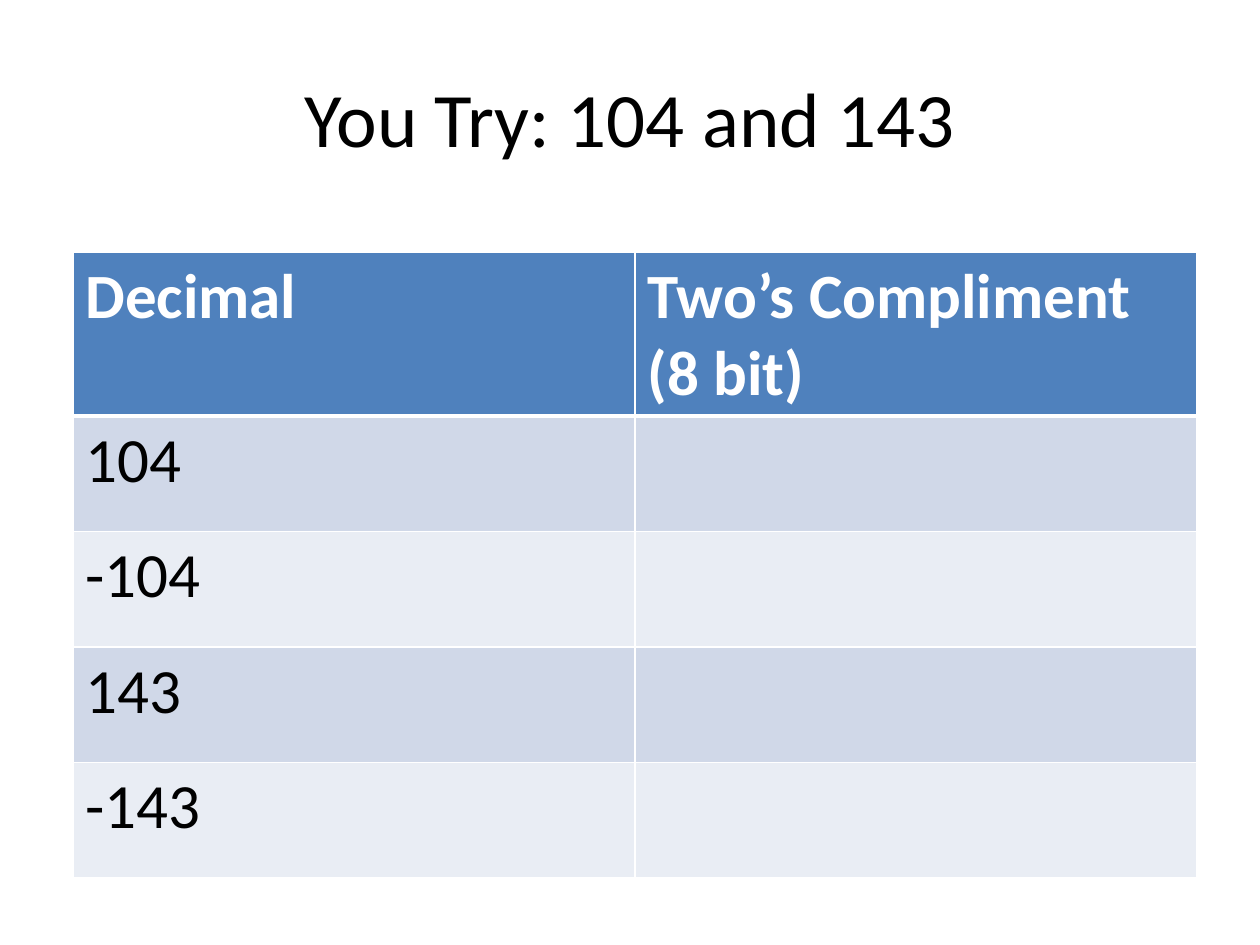
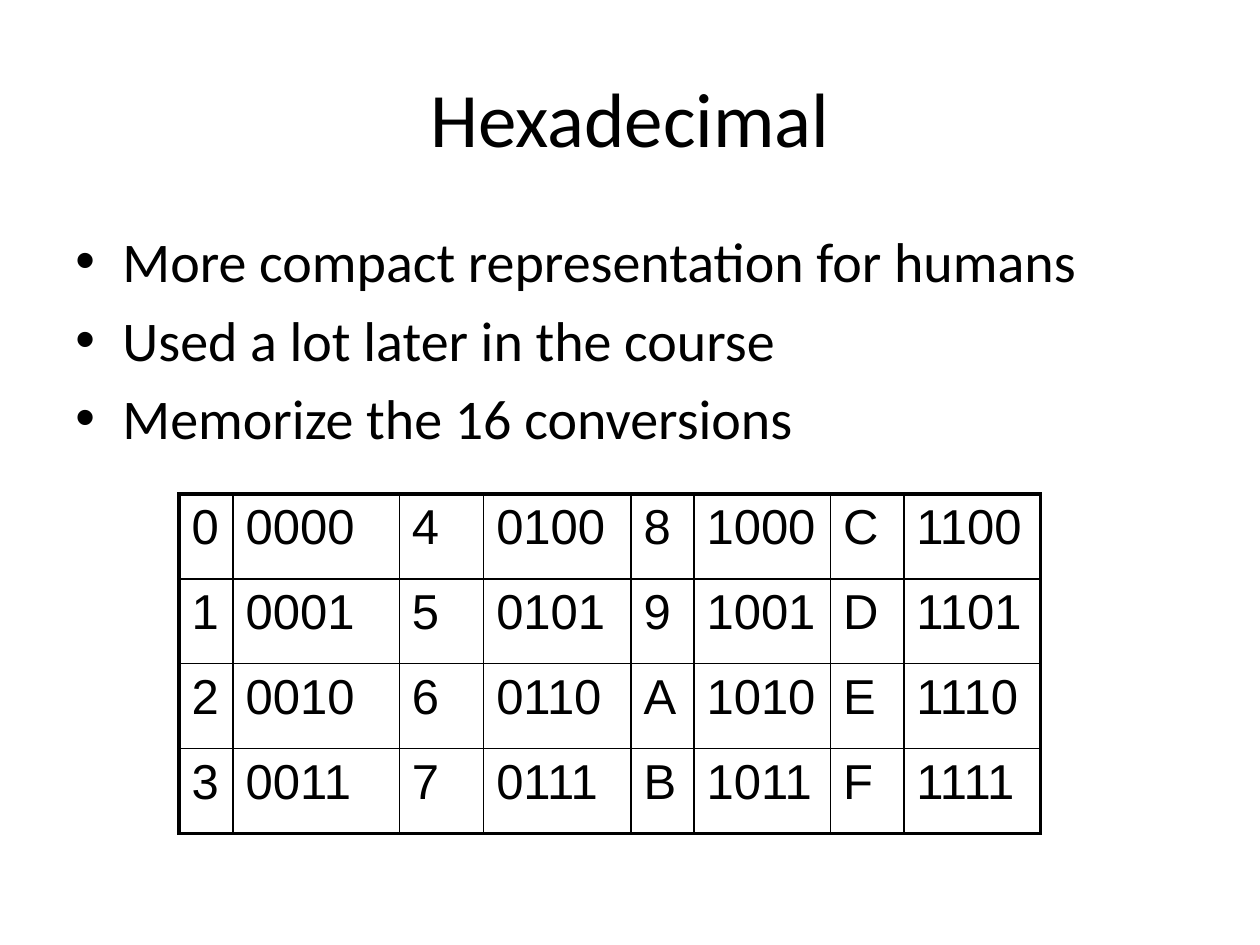
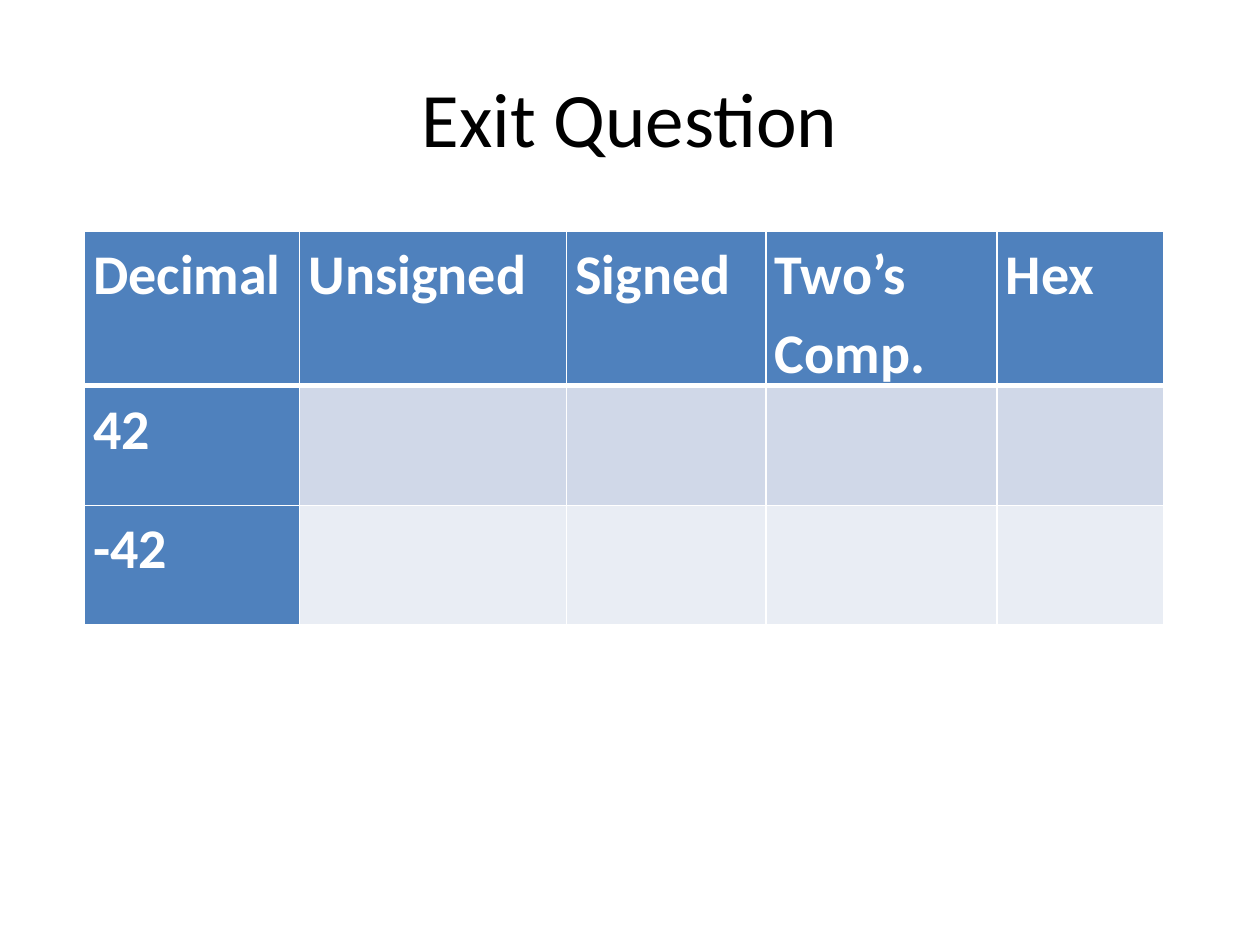
from lxml.etree import SubElement
from pptx import Presentation
from pptx.dml.color import RGBColor
from pptx.enum.text import MSO_ANCHOR, PP_ALIGN
from pptx.oxml.ns import qn
from pptx.util import Cm, Pt

# Content: cell text may hold several paragraphs, split by a line break
TRY_ROWS = [
    ["Decimal", "Two’s Compliment\n(8 bit)"],
    ["104", ""],
    ["-104", ""],
    ["143", ""],
    ["-143", ""],
]
HEX_POINTS = [
    "More compact representation for humans",
    "Used a lot later in the course",
    "Memorize the 16 conversions",
]
# Four pairs of hex digit and bits per row, counting down the columns
HEX_ROWS = [
    [text for value in range(row, 16, 4) for text in (f"{value:X}", f"{value:04b}")]
    for row in range(4)
]
EXIT_ROWS = [
    ["Decimal", "Unsigned", "Signed", "Two’s Comp.", "Hex"],
    ["42", "", "", "", ""],
    ["-42", "", "", "", ""],
]

# Shared style
BLACK, WHITE, BLUE = "000000", "FFFFFF", "4F81BD"
BANDS = ["D0D8E8", "E9EDF4"]
BODY_FONT, GRID_FONT = "Calibri", "Arial"
TITLE_BOX = (1.27, 0.76, 22.86, 3.18)
BODY_BOX = (1.27, 4.45, 22.86, 12.57)


def color(value):
    return RGBColor.from_string(value)


def add_span(para, text, size, font=BODY_FONT, ink=BLACK, bold=False):
    span = para.add_run()
    span.text = text
    span.font.size = Pt(size)
    span.font.name = font
    span.font.bold = bold
    span.font.color.rgb = color(ink)


def add_space_before(para, percent=20):
    spacing = SubElement(para._p.get_or_add_pPr(), qn("a:spcBef"))
    SubElement(spacing, qn("a:spcPct"), val=str(percent * 1000))


def add_bullet(para):
    properties = para._p.get_or_add_pPr()
    properties.set("marL", str(Cm(0.95)))
    properties.set("indent", str(-Cm(0.95)))
    SubElement(properties, qn("a:buFont"), typeface="Arial")
    SubElement(properties, qn("a:buChar"), char="•")


def add_box(page, place):
    box = page.shapes.add_textbox(*[Cm(length) for length in place])
    box.text_frame.word_wrap = True
    return box.text_frame


def add_page(title):
    page = deck.slides.add_slide(deck.slide_layouts[6])
    frame = add_box(page, TITLE_BOX)
    frame.vertical_anchor = MSO_ANCHOR.MIDDLE
    para = frame.paragraphs[0]
    para.alignment = PP_ALIGN.CENTER
    add_span(para, title, 44)
    return page


def add_borders(cell, ink, widths):
    # Borders stand before the fill, in the order left, right, top, bottom
    for side, width in zip("LRTB", widths):
        line = SubElement(cell._tc.get_or_add_tcPr(), qn(f"a:ln{side}"), w=str(Pt(width)))
        fill = SubElement(line, qn("a:solidFill"))
        SubElement(fill, qn("a:srgbClr"), val=ink)


def add_grid(page, rows, left, top, widths, height):
    shape = page.shapes.add_table(
        len(rows), len(widths), Cm(left), Cm(top), Cm(sum(widths)), Cm(height * len(rows)))
    table = shape.table
    table.first_row = table.horz_banding = False
    for column, width in zip(table.columns, widths):
        column.width = Cm(width)
    for row in table.rows:
        row.height = Cm(height)
    return table


def write_cell(cell, text, **style):
    frame = cell.text_frame
    for index, line in enumerate(text.split("\n") if text else []):
        para = frame.add_paragraph() if index else frame.paragraphs[0]
        add_span(para, line, **style)


def fill_banded(table, rows, size, blue_first_column=False):
    for r, row in enumerate(rows):
        for c, text in enumerate(row):
            cell = table.cell(r, c)
            heading = r == 0 or (blue_first_column and c == 0)
            add_borders(cell, WHITE, (1, 1, 3 if r == 1 else 1, 3 if r == 0 else 1))
            cell.fill.solid()
            cell.fill.fore_color.rgb = color(BLUE if heading else BANDS[(r - 1) % 2])
            write_cell(cell, text, size=size, ink=WHITE if heading else BLACK, bold=heading)


deck = Presentation()
deck.slide_width, deck.slide_height = Cm(25.4), Cm(19.05)

# Practice table
page = add_page("You Try: 104 and 143")
table = add_grid(page, TRY_ROWS, 1.47, 5.08, [11.33] * 2, 2.33)
fill_banded(table, TRY_ROWS, 36)

# Hexadecimal points and conversions
page = add_page("Hexadecimal")
frame = add_box(page, BODY_BOX)
for index, point in enumerate(HEX_POINTS):
    para = frame.add_paragraph() if index else frame.paragraphs[0]
    add_space_before(para)
    add_bullet(para)
    add_span(para, point, 32)

hex_widths = [1.09, 3.35, 1.7, 2.97, 1.27, 2.75, 1.48, 2.75]
table = add_grid(page, HEX_ROWS, 3.61, 9.96, hex_widths, 1.71)
last_row, last_column = len(HEX_ROWS) - 1, len(hex_widths) - 1
for r, row in enumerate(HEX_ROWS):
    for c, text in enumerate(row):
        cell = table.cell(r, c)
        outer = (c == 0, c == last_column, r == 0, r == last_row)
        add_borders(cell, BLACK, [2.25 if edge else 1 for edge in outer])
        cell.fill.background()
        add_space_before(cell.text_frame.paragraphs[0])
        write_cell(cell, text, size=28, font=GRID_FONT)

# Exit table, with tighter margins and wider lines
page = add_page("Exit Question")
table = add_grid(page, EXIT_ROWS, 1.7, 4.66, [4.34, 5.38, 4.02, 4.66, 3.36], 2.41)
fill_banded(table, EXIT_ROWS, 32, blue_first_column=True)
for cell in table.iter_cells():
    cell.margin_left = cell.margin_right = Cm(0.18)
    cell.margin_top = cell.margin_bottom = Cm(0)
    cell.text_frame.paragraphs[0].line_spacing = 1.15

deck.save("out.pptx")
